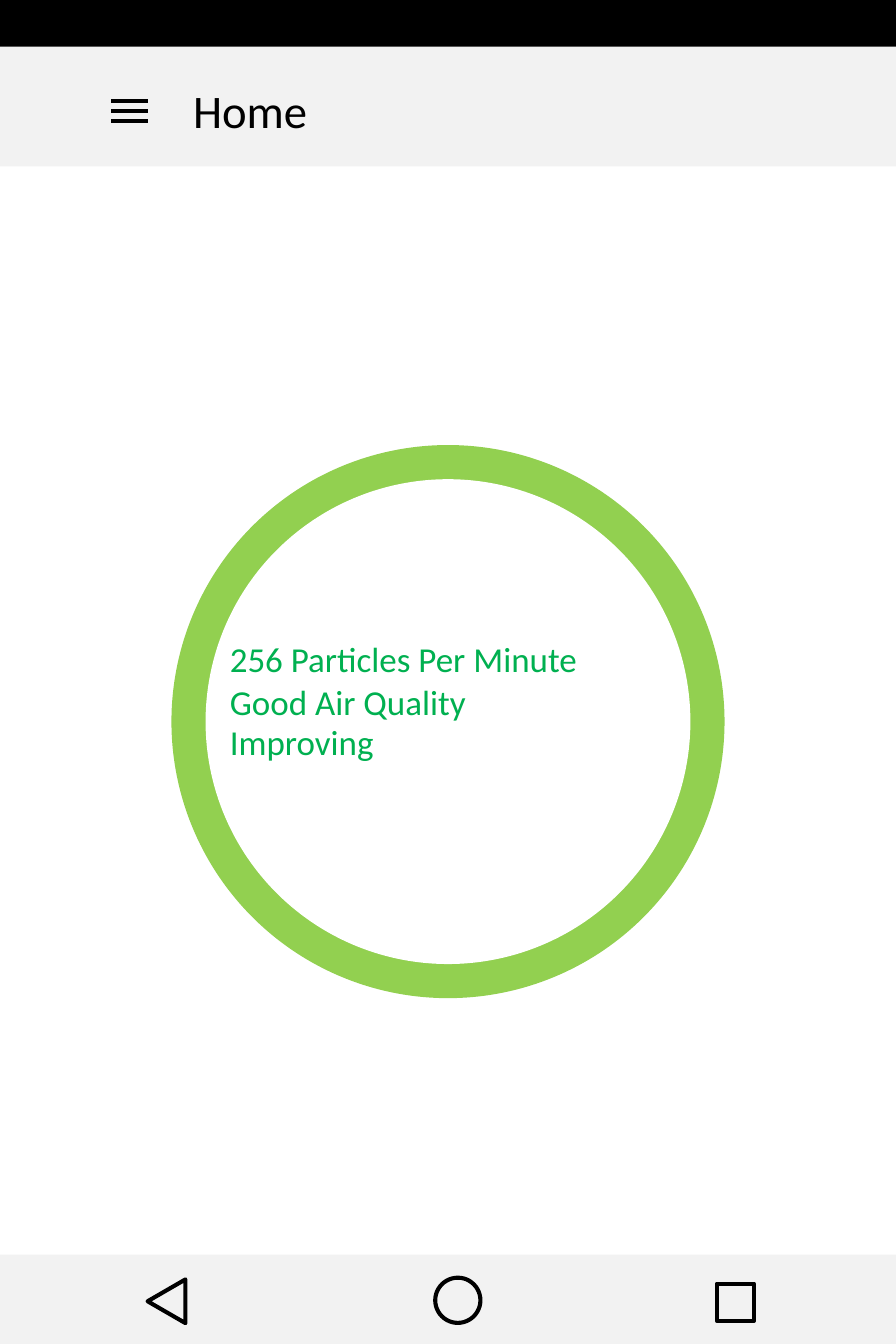
"""Builds the home screen of an air quality phone app."""
from dataclasses import dataclass

from lxml.etree import SubElement
from pptx import Presentation
from pptx.dml.color import RGBColor
from pptx.enum.shapes import MSO_CONNECTOR, MSO_SHAPE as Shape
from pptx.enum.text import MSO_ANCHOR, MSO_AUTO_SIZE, PP_ALIGN
from pptx.oxml.ns import qn
from pptx.util import Inches, Pt


@dataclass(frozen=True)
class Theme:
    font: str = "Calibri"
    ink: str = "000000"
    paper: str = "FFFFFF"
    bar: str = "F2F2F2"
    ring: str = "92D050"
    reading: str = "00B050"
    title_size: float = 68.4
    reading_size: float = 51.3
    stroke: float = 6


THEME = Theme()
WIDTH, HEIGHT = 18.24, 27.36
STATUS_HEIGHT, HEADER_HEIGHT, NAV_HEIGHT = 0.95, 2.44, 1.82

SCREEN_TITLE = "Home"
TITLE_BOX = (3.83, 1.53, 6.22, 1.33)
READINGS = [
    ("256 Particles Per Minute", 12.92),
    ("Good Air Quality", 13.81),
    ("Improving", 14.62),
]
READING_LEFT, READING_WIDTH, READING_HEIGHT = 4.58, 9.08, 0.96
BARS = [
    (HEIGHT - NAV_HEIGHT, NAV_HEIGHT, THEME.bar),
    (STATUS_HEIGHT, HEADER_HEIGHT, THEME.bar),
    (0, STATUS_HEIGHT, THEME.ink),
]
NAV_ICONS = [
    (Shape.ISOSCELES_TRIANGLE, 3.39, 26.49, 0.89, 0.77, 270),
    (Shape.OVAL, 9.32, 26.47, 0.92, 0.92, 0),
    (Shape.RECTANGLE, 14.97, 26.51, 0.76, 0.76, 0),
]
MENU_LEFT, MENU_RIGHT, MENU_TOP, MENU_STEP, MENU_LINES = 2.27, 3.01, 2.05, 0.21, 3
GAUGE_CENTER = (WIDTH / 2, 14.69)
GAUGE_DISCS = [(11.26, THEME.ring), (9.87, THEME.paper)]


def inches(*lengths):
    return [Inches(length) for length in lengths]


def add_figure(kind, box, fill=None, outline=None):
    figure = slide.shapes.add_shape(kind, *inches(*box))
    figure.shadow.inherit = False
    if fill:
        figure.fill.solid()
        figure.fill.fore_color.rgb = RGBColor.from_string(fill)
    else:
        figure.fill.background()
    if outline:
        draw_stroke(figure.line, outline)
    else:
        figure.line.fill.background()
    return figure


def draw_stroke(line, color):
    line.color.rgb = RGBColor.from_string(color)
    line.width = Pt(THEME.stroke)


def centered(center, width, height):
    return center[0] - width / 2, center[1] - height / 2, width, height


def write(frame, wording, size, color):
    frame.word_wrap = True
    frame.auto_size = MSO_AUTO_SIZE.NONE
    frame.vertical_anchor = MSO_ANCHOR.TOP
    paragraph = frame.paragraphs[0]
    paragraph.alignment = PP_ALIGN.LEFT
    run = paragraph.add_run()
    run.text = wording
    run.font.name = THEME.font
    run.font.size = Pt(size)
    run.font.color.rgb = RGBColor.from_string(color)
    return paragraph


deck = Presentation()
deck.slide_width, deck.slide_height = inches(WIDTH, HEIGHT)
slide = deck.slides.add_slide(deck.slide_layouts.get_by_name("Title Only"))

for top, height, color in BARS:
    add_figure(Shape.RECTANGLE, (0, top, WIDTH, height), fill=color)

for kind, center_x, center_y, width, height, rotation in NAV_ICONS:
    icon_box = centered((center_x, center_y), width, height)
    icon = add_figure(kind, icon_box, outline=THEME.ink)
    icon.rotation = rotation

for row in range(MENU_LINES):
    level = MENU_TOP + row * MENU_STEP
    menu_line = slide.shapes.add_connector(
        MSO_CONNECTOR.STRAIGHT, *inches(MENU_LEFT, level, MENU_RIGHT, level))
    draw_stroke(menu_line.line, THEME.ink)
    SubElement(menu_line.element.spPr, qn("a:effectLst"))

title = slide.shapes.title
title.left, title.top, title.width, title.height = inches(*TITLE_BOX)
heading = write(title.text_frame, SCREEN_TITLE, THEME.title_size, THEME.ink)
heading.line_spacing = 1.07
heading.space_after = Pt(5.7)
slide.shapes.element.append(title.element)

for diameter, color in GAUGE_DISCS:
    add_figure(Shape.OVAL, centered(GAUGE_CENTER, diameter, diameter), fill=color)

for wording, top in READINGS:
    reading = slide.shapes.add_textbox(
        *inches(READING_LEFT, top, READING_WIDTH, READING_HEIGHT))
    write(reading.text_frame, wording, THEME.reading_size, THEME.reading)

deck.save("out.pptx")
